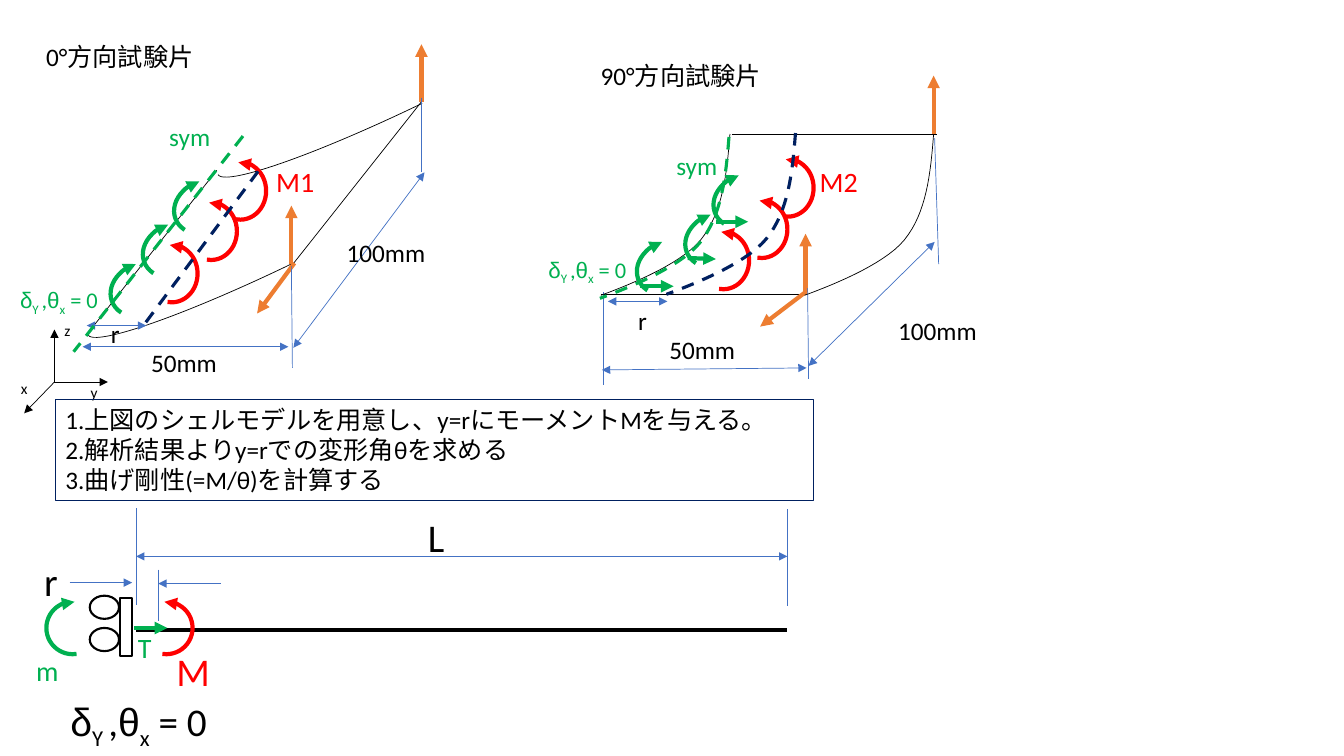
from dataclasses import dataclass

from lxml.etree import SubElement
from pptx import Presentation
from pptx.dml.color import RGBColor as Color
from pptx.enum.dml import MSO_LINE_DASH_STYLE as Dash
from pptx.enum.shapes import MSO_CONNECTOR as Connector, MSO_SHAPE as Preset
from pptx.enum.text import MSO_AUTO_SIZE as AutoSize, PP_ALIGN as Align
from pptx.oxml.ns import qn
from pptx.util import Inches, Pt


@dataclass(frozen=True)
class Stroke:
    color: str
    width: float
    dashed: bool = False


@dataclass(frozen=True)
class Theme:
    font: str = "Calibri"
    greek_font: str = "Arial"
    black: str = "000000"
    white: str = "FFFFFF"
    red: str = "FF0000"
    green: str = "00B050"
    axis_size: int = 11
    formula_size: int = 16
    body_size: int = 18
    moment_size: int = 20
    beam_size: int = 28
    edge: Stroke = Stroke("000000", 0.5)
    dimension: Stroke = Stroke("4472C4", 0.5)
    force: Stroke = Stroke("ED7D31", 3)
    moment: Stroke = Stroke("FF0000", 3)
    reaction: Stroke = Stroke("00B050", 3)
    symmetry: Stroke = Stroke("00B050", 2.25, True)
    section: Stroke = Stroke("002060", 2.25, True)
    frame: Stroke = Stroke("002060", 0.75)
    roller: Stroke = Stroke("000000", 1.5)
    beam: Stroke = Stroke("000000", 3)


THEME = Theme()
CELL = Inches(1)  # one grid column or row
COLUMNS, ROWS = 13.33, 7.5
HALF_TURN = (48.79, 164.53)  # arc start and end, in units of 5/3 degree
THIRD_TURN = (92.37, 164.53)
RIM = [(1.28, 0), (1.25, 0.39), (1.21, 0.78), (0.99, 1.05),
       (0.78, 1.31), (0.19, 1.53), (0, 1.6)]


def cells(*counts):
    return [round(count * CELL) for count in counts]


def bezier(points, steps=16):
    """Sample a chain of cubic curves that share their end points."""
    samples = [points[0]]
    for first in range(0, len(points) - 1, 3):
        corners = points[first:first + 4]
        for step in range(1, steps + 1):
            t = step / steps
            weights = ((1 - t) ** 3, 3 * t * (1 - t) ** 2, 3 * t * t * (1 - t), t ** 3)
            samples.append(tuple(sum(w * c[axis] for w, c in zip(weights, corners))
                                 for axis in (0, 1)))
    return samples


class Sketch:
    """Draws on one page; every length is in grid columns and rows."""

    def __init__(self, page, theme):
        self.shapes, self.theme = page.shapes, theme

    def outline(self, shape, stroke, arrows=""):
        shape.line.color.rgb = Color.from_string(stroke.color)
        shape.line.width = Pt(stroke.width)
        if stroke.dashed:
            shape.line.dash_style = Dash.DASH
        line = shape.element.spPr.find(qn("a:ln"))
        for end in arrows.split():
            SubElement(line, qn(f"a:{end}End"), type="triangle")

    def line(self, x1, y1, x2, y2, stroke, arrows=""):
        line = self.shapes.add_connector(Connector.STRAIGHT, *cells(x1, y1, x2, y2))
        self.outline(line, stroke, arrows)
        SubElement(line.element.spPr, qn("a:effectLst"))

    def arrow(self, x1, y1, x2, y2, stroke):
        self.line(x1, y1, x2, y2, stroke, "tail")

    def span_arrow(self, x1, y1, x2, y2):
        self.line(x1, y1, x2, y2, self.theme.dimension, "head tail")

    def solid(self, preset, place, stroke):
        shape = self.shapes.add_shape(preset, *cells(*place))
        shape.shadow.inherit = False
        shape.fill.solid()
        shape.fill.fore_color.rgb = Color.from_string(self.theme.white)
        self.outline(shape, stroke)

    def arc(self, place, stroke, turn=None, rotation=0, mirrored=False):
        """Draw a quarter arc, or with a turn an arc that ends in an arrowhead."""
        arc = self.shapes.add_shape(Preset.ARC, *cells(*place))
        arc.shadow.inherit = False
        arc.fill.background()
        arc.rotation = rotation
        if turn:
            arc.adjustments[0], arc.adjustments[1] = turn
        if mirrored:
            arc.element.spPr.xfrm.set("flipH", "1")
        self.outline(arc, stroke, "tail" if turn else "")

    def moment(self, left, top, width=0.51, height=0.57):
        self.arc((left, top, width, height), self.theme.moment, HALF_TURN, mirrored=True)

    def reaction_moment(self, left, top):
        self.arc((left, top, 0.66, 0.53), self.theme.reaction, THIRD_TURN, rotation=340)

    def rim(self, left, top, stroke):
        points = [cells(left + x, top + y) for x, y in bezier(RIM)]
        builder = self.shapes.build_freeform(*points[0])
        builder.add_line_segments(points[1:], close=False)
        curve = builder.convert_to_shape()
        curve.shadow.inherit = False
        curve.fill.background()
        self.outline(curve, stroke)

    def style(self, span, size, color, font=None):
        span.font.size = Pt(size)
        span.font.name = font or self.theme.font
        span.font.color.rgb = Color.from_string(color)

    def text(self, words, place, size=None, color=None, wrap=False, align=Align.LEFT):
        box = self.shapes.add_textbox(*cells(*place))
        frame = box.text_frame
        frame.word_wrap = wrap
        frame.auto_size = AutoSize.SHAPE_TO_FIT_TEXT
        frame.text = words
        for para in frame.paragraphs:
            para.alignment = align
            for span in para.runs:
                self.style(span, size or self.theme.body_size, color or self.theme.black)
        return box

    def formula(self, place, size, color):
        """Write the boundary condition with its subscripts."""
        para = self.text("", place, wrap=True).text_frame.paragraphs[0]
        for words in ("δ", "Y ", ",", "θ", "x", " = 0"):
            span = para.add_run()
            span.text = words
            self.style(span, size, color, self.theme.greek_font if words in "δθ" else None)
            if words in ("Y ", "x"):
                span.font._element.set("baseline", "-25000")


def draw_zero_degree(sketch, theme):
    for left, top in ((0.66, 2.15), (1.95, 0.56)):
        sketch.arc((left, top, 4.26, 0.49), theme.edge, rotation=154.2)
    for x, y in ((2.15, 1.69), (4.18, 1.01)):
        sketch.line(x, y, x - 1.29, y + 1.63, theme.edge)
    for place in ((1.45, 2.43), (1.84, 2.01), (2.13, 1.61)):
        sketch.moment(*place)
    for place in ((1.72, 1.79), (1.09, 2.61), (1.41, 2.22)):
        sketch.reaction_moment(*place)
    for ends in ((4.18, 1.01, 4.18, 0.44), (2.89, 2.62, 2.89, 2.04), (2.92, 2.61, 2.55, 3.11)):
        sketch.arrow(*ends, theme.force)
    sketch.line(2.89, 2.64, 2.9, 3.65, theme.dimension)
    sketch.line(4.18, 0.97, 4.18, 1.71, theme.dimension)
    for ends in ((0.82, 3.44, 2.86, 3.44), (2.91, 3.45, 4.21, 1.71), (0.86, 3.23, 1.45, 3.23)):
        sketch.span_arrow(*ends)
    sketch.line(2.41, 1.35, 0.73, 3.49, theme.symmetry)
    sketch.line(2.56, 1.7, 1.43, 3.22, theme.section)
    sketch.text("0°方向試験片", (0.36, 0.36, 1.84, 0.4))
    sketch.text("50mm", (1.4, 3.4, 0.86, 0.4))
    sketch.text("100mm", (3.34, 2.31, 1, 0.4), wrap=True)
    sketch.text("r", (1, 3.11, 0.29, 0.4))
    sketch.text("sym", (1.58, 1.15, 0.61, 0.4), color=theme.green)
    sketch.text("M1", (2.64, 1.58, 0.86, 0.44), theme.moment_size, theme.red, wrap=True)
    sketch.formula((0.1, 2.79, 1.02, 0.37), theme.formula_size, theme.green)


def draw_axes(sketch, theme):
    for tip in ((0.24, 4.1), (1.07, 3.79), (0.54, 3.27)):
        sketch.arrow(0.54, 3.79, *tip, theme.edge)
    for name, left, top in (("x", 0.11, 3.71), ("y", 0.8, 3.75), ("z", 0.54, 3.14)):
        sketch.text(name, (left, top, 0.3, 0.29), theme.axis_size, wrap=True)


def draw_ninety_degree(sketch, theme):
    for x, y in ((7.26, 1.33), (5.96, 2.92)):
        sketch.line(x, y, x + 2.03, y, theme.edge)
    for place in ((6.92, 2.3), (7.3, 1.99), (7.56, 1.58)):
        sketch.moment(*place)
    for ends in ((9.26, 1.33, 9.26, 0.75), (7.99, 2.9, 7.99, 2.32), (8, 2.89, 7.54, 3.24)):
        sketch.arrow(*ends, theme.force)
    for ends in ((5.98, 2.9, 5.98, 3.82), (8.01, 2.86, 8.02, 3.76), (9.27, 1.37, 9.31, 2.62)):
        sketch.line(*ends, theme.dimension)
    for ends in ((5.97, 3.67, 8, 3.65), (8.02, 3.63, 9.27, 2.4), (6.03, 2.99, 6.62, 2.99)):
        sketch.span_arrow(*ends)
    for left, top, stroke in ((5.96, 1.33, theme.edge), (7.98, 1.33, theme.edge),
                              (5.95, 1.36, theme.symmetry), (6.61, 1.32, theme.section)):
        sketch.rim(left, top, stroke)
    for place in ((6.31, 2.39), (7.07, 1.73), (6.79, 2.12)):
        sketch.reaction_moment(*place)
    for ends in ((6.35, 2.84, 6.68, 2.84), (6.82, 2.56, 7.1, 2.57), (7.1, 2.2, 7.42, 2.2)):
        sketch.arrow(*ends, theme.reaction)
    sketch.text("90°方向試験片", (5.86, 0.55, 1.97, 0.4))
    sketch.text("50mm", (6.54, 3.27, 0.86, 0.4))
    sketch.text("100mm", (8.81, 3.08, 0.99, 0.4))
    sketch.text("r", (6.23, 2.98, 0.29, 0.4))
    sketch.text("sym", (6.61, 1.44, 0.61, 0.4), color=theme.green)
    sketch.text("M2", (8.03, 1.58, 0.61, 0.44), theme.moment_size, theme.red, wrap=True)
    sketch.formula((5.34, 2.49, 1.02, 0.37), theme.formula_size, theme.green)


def draw_procedure(sketch, theme):
    steps = ("1.上図のシェルモデルを用意し、y=rにモーメントMを与える。",
             "2.解析結果よりy=rでの変形角θを求める",
             "3.曲げ剛性(=M/θ)を計算する")
    box = sketch.text("\n".join(steps), (0.55, 3.96, 7.52, 1.01), wrap=True)
    sketch.outline(box, theme.frame)


def draw_beam(sketch, theme):
    sketch.line(1.35, 6.25, 7.81, 6.25, theme.beam)
    for x, top, bottom in ((1.35, 5.04, 6), (7.81, 5.05, 6.01), (1.57, 5.65, 6.16)):
        sketch.line(x, top, x, bottom, theme.dimension)
    sketch.span_arrow(1.35, 5.52, 7.81, 5.52)
    sketch.arrow(0.69, 5.78, 1.31, 5.78, theme.dimension)
    sketch.arrow(2.19, 5.79, 1.57, 5.79, theme.dimension)
    sketch.solid(Preset.RECTANGLE, (1.19, 5.93, 0.12, 0.58), theme.roller)
    for top in (6.23, 5.91):
        sketch.solid(Preset.OVAL, (0.89, top, 0.29, 0.23), theme.roller)
    sketch.moment(1.39, 5.97, 0.52, 0.52)
    sketch.arc((0.46, 5.97, 0.52, 0.52), theme.reaction, HALF_TURN)
    sketch.arrow(1.33, 6.23, 1.66, 6.23, theme.reaction)
    sketch.text("L", (3.89, 5.04, 0.87, 0.57), theme.beam_size, wrap=True, align=Align.CENTER)
    sketch.text("r", (0.34, 5.48, 0.52, 0.57), theme.beam_size, wrap=True)
    sketch.text("M", (1.65, 6.37, 0.52, 0.57), theme.beam_size, theme.red, wrap=True)
    for name, left, top in (("m", 0.26, 6.43), ("T", 1.27, 6.21)):
        sketch.text(name, (left, top, 0.44, 0.44), theme.moment_size, theme.green, wrap=True)
    sketch.formula((0.6, 6.87, 1.76, 0.57), theme.beam_size, theme.black)


def main():
    deck = Presentation()
    deck.slide_width, deck.slide_height = cells(COLUMNS, ROWS)
    sketch = Sketch(deck.slides.add_slide(deck.slide_layouts[6]), THEME)
    for draw in (draw_zero_degree, draw_axes, draw_procedure, draw_ninety_degree, draw_beam):
        draw(sketch, THEME)
    deck.save("out.pptx")


if __name__ == "__main__":
    main()
